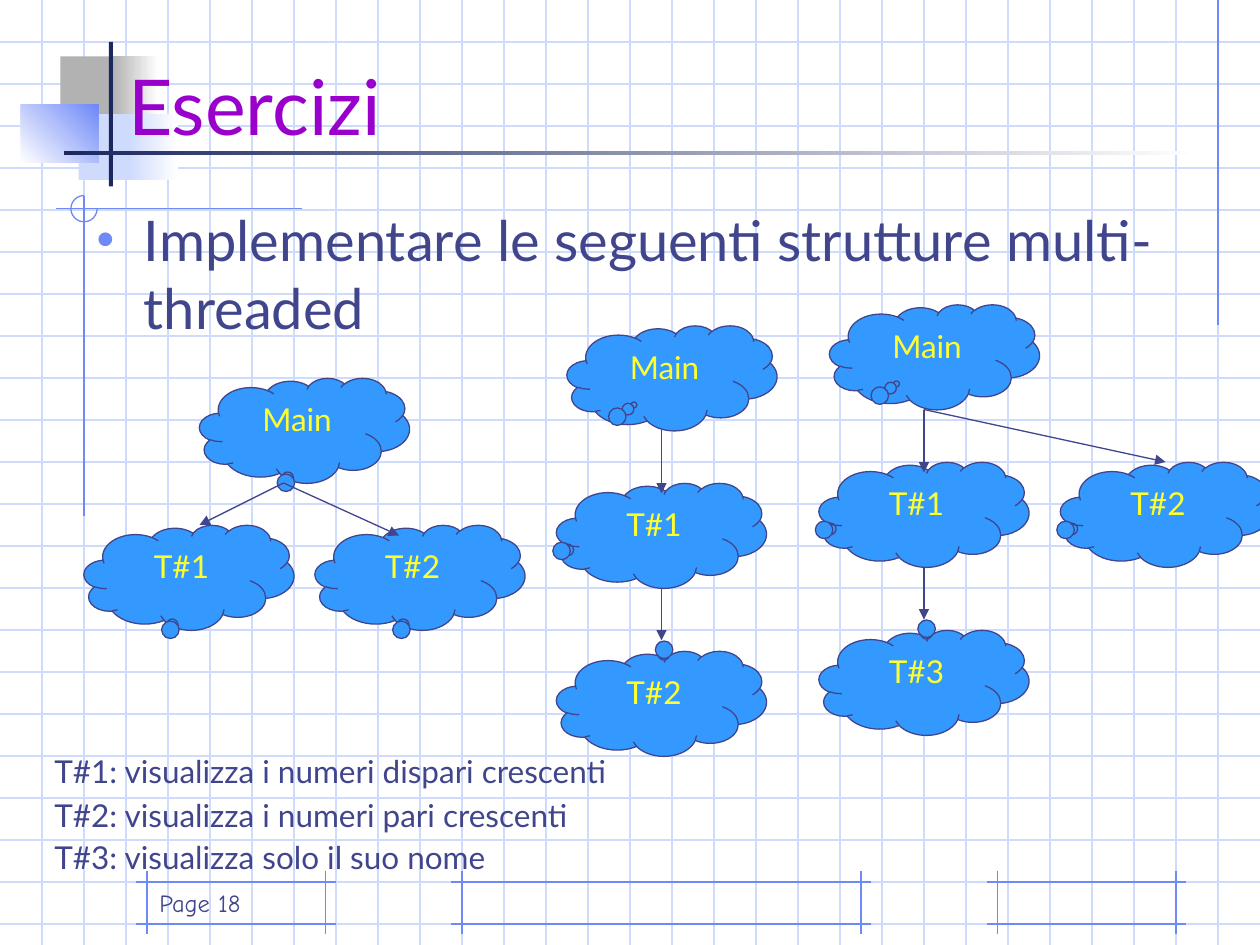
from lxml import etree
from pptx import Presentation
from pptx import util as u
from pptx.dml.color import RGBColor
from pptx.enum import shapes, text
from pptx.oxml.ns import qn

PX = 9525  # EMU per px, 96 px to the inch
W, H, GRID = 960, 720, 32
C = {
    "grid": "CFDBFD", "accent": "6F89F7", "ink": "40458C", "navy": "1B285F",
    "grey": "B2B2B2", "white": "FFFFFF", "title": "9900CC",
    "cloud": "3399FF", "label": "FFFF2F",
}
CLOUD_W, CLOUD_H = 160, 80
UNDER, INSIDE = (-0.081, 0.456), (-0.181, 0.256)
LEFT, ABOVE = (-0.444, 0.137), (0.012, -0.481)


def px(*values):
    return [u.Emu(v * PX) for v in values]


def rgb(name):
    return RGBColor.from_string(C[name])


def add_line(s, x1, y1, x2, y2, color, arrow=False):
    line = s.shapes.add_connector(shapes.MSO_CONNECTOR.STRAIGHT, *px(x1, y1, x2, y2))
    line.line.color.rgb = rgb(color)
    line.line.width = u.Pt(0.75)
    if arrow:
        etree.SubElement(line.line._get_or_add_ln(), qn("a:tailEnd"), type="triangle")
    etree.SubElement(line.element.spPr, qn("a:effectLst"))


def add_rect(s, x, y, w, h, color, end=None, angle=0):
    """Borderless rectangle, fading from color to end when end is given."""
    sp = s.shapes.add_shape(shapes.MSO_SHAPE.RECTANGLE, *px(x, y, w, h))
    sp.shadow.inherit = False
    sp.line.fill.background()
    if end:
        sp.fill.gradient()
        sp.fill.gradient_angle = angle
        for stop, name in zip(sp.fill.gradient_stops, (color, end)):
            stop.color.rgb = rgb(name)
    else:
        sp.fill.solid()
        sp.fill.fore_color.rgb = rgb(color)


def write(tf, words, size, color, font="Lato", align=text.PP_ALIGN.LEFT):
    tf.word_wrap = True
    p = tf.paragraphs[0]
    p.alignment = align
    p.space_before = u.Pt(0)
    r = p.add_run()
    r.text = words
    r.font.size = u.Pt(size)
    r.font.name = font
    r.font.color.rgb = rgb(color)
    return p


def squared_paper(s, w, h):
    for y in range(GRID, h, GRID):
        add_line(s, 0, y, w, y, "grid")
    for x in range(GRID, w, GRID):
        add_line(s, x, 0, x, h, "grid")


def footer_frame(s, x, y, w, h, overhang=8):
    """Four lines that cross at the corners."""
    for row in (y + overhang, y + h - overhang):
        add_line(s, x, row, x + w, row, "accent")
    for col in (x + overhang, x + w - overhang):
        add_line(s, col, y, col, y + h, "accent")


def margin_lines(s, x, y, radius=10):
    """Compass mark centred on x, y with its margin lines."""
    add_line(s, 928, 0, 928, 248, "accent")
    add_line(s, x + 166, y, x - 21, y, "accent")
    add_line(s, x, y - radius, x, y + 234, "accent")
    arc = s.shapes.add_shape(
        shapes.MSO_SHAPE.ARC, *px(x - radius, y - radius, 2 * radius, 2 * radius))
    arc.adjustments[0], arc.adjustments[1] = 0, 162  # right, clockwise to the top
    arc.shadow.inherit = False
    arc.fill.background()
    arc.line.color.rgb = rgb("accent")
    arc.line.width = u.Pt(0.75)


def title_ornament(s, x, y):
    add_rect(s, x + 30, y + 11, 46, 50, "grey")
    add_rect(s, x + 70, y + 11, 35, 50, "grey", "white")
    add_rect(s, x + 44, y + 55, 44, 50, "grid")
    add_rect(s, x + 82, y + 55, 38, 50, "grid", "white")
    add_rect(s, x, y + 48, 59, 44, "white", "accent", angle=45)
    add_rect(s, x + 67, y, 3, 110, "navy")
    add_rect(s, x + 33, y + 83, 864, 3, "navy", "white")


def place(s, sp, x, y, w, h, anchor):
    """Move a placeholder to the box and bring it in front of the background."""
    sp.left, sp.top, sp.width, sp.height = px(x, y, w, h)
    sp.text_frame.auto_size = text.MSO_AUTO_SIZE.NONE
    sp.text_frame.vertical_anchor = anchor
    s.shapes.element.append(sp.element)
    return sp.text_frame


def heading(s, x, y, w, h):
    tf = place(s, s.shapes.title, x, y, w, h, text.MSO_ANCHOR.BOTTOM)
    write(tf, "Esercizi", 44, "title")


def assignment(s, x, y, w, h):
    tf = place(s, s.placeholders[1], x, y, w, h, text.MSO_ANCHOR.TOP)
    p = write(tf, "Implementare le seguenti strutture multi-threaded", 32, "ink")
    pPr = p._p.get_or_add_pPr()
    pPr.set("marL", str(36 * PX))
    pPr.set("indent", str(-36 * PX))
    bullet_color = etree.SubElement(pPr, qn("a:buClr"))
    etree.SubElement(bullet_color, qn("a:srgbClr"), val=C["accent"])
    etree.SubElement(pPr, qn("a:buSzPct"), val="90000")
    etree.SubElement(pPr, qn("a:buChar"), char="•")


def cloud(s, x, y, label, tail):
    sp = s.shapes.add_shape(shapes.MSO_SHAPE.CLOUD_CALLOUT, *px(x, y, CLOUD_W, CLOUD_H))
    sp.adjustments[0], sp.adjustments[1] = tail
    sp.shadow.inherit = False
    sp.fill.solid()
    sp.fill.fore_color.rgb = rgb("cloud")
    sp.line.color.rgb = rgb("ink")
    sp.line.width = u.Pt(0.75)
    sp.text_frame.vertical_anchor = text.MSO_ANCHOR.TOP
    write(sp.text_frame, label, 18, "label", align=text.PP_ALIGN.CENTER)


def thread_fork(s, x, y):
    cloud(s, x + 88, y, "Main", UNDER)
    cloud(s, x, y + 112, "T#1", UNDER)
    cloud(s, x + 176, y + 112, "T#2", UNDER)
    for end_x, end_y in ((88, 112), (240, 120)):
        add_line(s, x + 152, y + CLOUD_H, x + end_x, y + end_y, "ink", arrow=True)


def thread_chain(s, x, y, last, branch=None):
    """Main, T#1 and a last thread in a column, with an optional side branch."""
    mid = x + CLOUD_W // 2
    cloud(s, x + 8, y, "Main", INSIDE)
    cloud(s, x, y + 120, "T#1", LEFT)
    cloud(s, x, y + 248, last, ABOVE)
    add_line(s, mid, y + 200, mid, y + 240, "ink", arrow=True)
    add_line(s, mid, y + 80, mid, y + 128, "ink", arrow=True)
    if branch:
        cloud(s, x + 184, y + 120, branch, LEFT)
        add_line(s, mid, y + 80, x + 264, y + 120, "ink", arrow=True)


def caption(s, x, y, w, h, words):
    tf = s.shapes.add_textbox(*px(x, y, w, h)).text_frame
    write(tf, words, 18, "ink")
    tf.auto_size = text.MSO_AUTO_SIZE.SHAPE_TO_FIT_TEXT


def page_number(s, x, y, w, h):
    tf = s.shapes.add_textbox(*px(x, y, w, h)).text_frame
    tf.vertical_anchor = text.MSO_ANCHOR.BOTTOM
    write(tf, "Page 18", 14, "ink", font="Comic Neue")


def main():
    prs = Presentation()
    prs.slide_width, prs.slide_height = px(W, H)
    s = prs.slides.add_slide(prs.slide_layouts[1])
    squared_paper(s, W, H)
    for x, w in ((344, 320), (752, 152), (104, 152)):
        footer_frame(s, x, 664, w, 48)
    margin_lines(s, 64, 159)
    title_ornament(s, 16, 32)
    page_number(s, 112, 656, 200, 48)
    heading(s, 88, 32, 816, 88)
    assignment(s, 64, 152, 848, 432)
    thread_fork(s, 64, 288)
    thread_chain(s, 424, 248, "T#2")
    thread_chain(s, 624, 232, "T#3", branch="T#2")
    for y, words in (
        (568, "T#1: visualizza i numeri dispari crescenti"),
        (602, "T#2: visualizza i numeri pari crescenti"),
        (634, "T#3: visualizza solo il suo nome"),
    ):
        caption(s, 32, y, 480, 38, words)
    prs.save("out.pptx")


if __name__ == "__main__":
    main()
